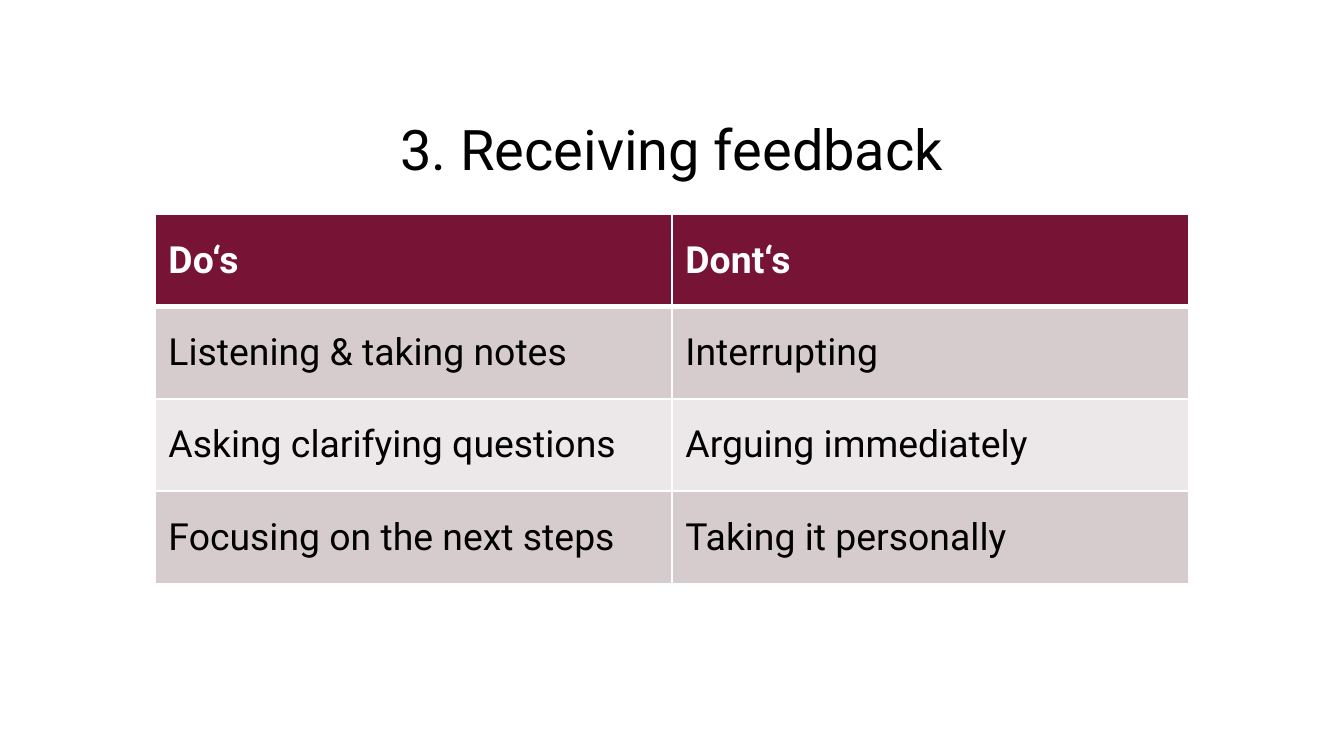
"""Builds a slide with the do's and don'ts of receiving feedback."""
import lxml.etree
import pptx
import pptx.dml.color
import pptx.enum.text
import pptx.oxml.ns
import pptx.util

COLORS = {
    "text": "000000",
    "white": "FFFFFF",
    "header": "771335",
    "odd_row": "D6CCCE",
    "even_row": "ECE7E8",
}
FONT = "Roboto"
ROWS = [
    ("Do‘s", "Dont‘s"),
    ("Listening & taking notes", "Interrupting"),
    ("Asking clarifying questions", "Arguing immediately"),
    ("Focusing on the next steps", "Taking it personally"),
]


class SlideBuilder:
    def __init__(self, deck):
        self.slide = deck.slides.add_slide(deck.slide_layouts[5])

    def color(self, name):
        return pptx.dml.color.RGBColor.from_string(COLORS[name])

    def style(self, paragraph, size, color, bold=False):
        font = paragraph.font
        font.name = FONT
        font.size = pptx.util.Pt(size)
        font.bold = bold
        font.color.rgb = self.color(color)

    def title(self, text, left, top, width, height):
        box = self.slide.shapes.title
        box.left, box.top, box.width, box.height = map(
            pptx.util.Cm, (left, top, width, height))
        frame = box.text_frame
        frame.text = text
        frame.word_wrap = True
        frame.auto_size = pptx.enum.text.MSO_AUTO_SIZE.NONE
        frame.vertical_anchor = pptx.enum.text.MSO_ANCHOR.BOTTOM
        paragraph = frame.paragraphs[0]
        paragraph.alignment = pptx.enum.text.PP_ALIGN.CENTER
        paragraph.line_spacing = 0.9
        self.style(paragraph, 30, "text")

    def border(self, cell, side, points):
        qn = pptx.oxml.ns.qn
        properties = cell._tc.get_or_add_tcPr()
        line = lxml.etree.SubElement(
            properties, qn(f"a:ln{side}"), w=str(pptx.util.Pt(points)))
        fill = lxml.etree.SubElement(line, qn("a:solidFill"))
        lxml.etree.SubElement(fill, qn("a:srgbClr"), val=COLORS["white"])

    def cell(self, cell, text, row):
        cell.text = text
        cell.vertical_anchor = pptx.enum.text.MSO_ANCHOR.MIDDLE
        widths = {"L": 1, "R": 1, "T": 3 if row == 1 else 1, "B": 3 if row == 0 else 1}
        for side, points in widths.items():
            self.border(cell, side, points)
        fill = "header" if row == 0 else "odd_row" if row % 2 else "even_row"
        cell.fill.solid()
        cell.fill.fore_color.rgb = self.color(fill)
        self.style(cell.text_frame.paragraphs[0], 20,
                   "text" if row else "white", bold=row == 0)

    def table(self, rows, left, top, width, height):
        table = self.slide.shapes.add_table(
            len(rows), len(rows[0]),
            *map(pptx.util.Cm, (left, top, width, height))).table
        for row, texts in enumerate(rows):
            for column, text in enumerate(texts):
                self.cell(table.cell(row, column), text, row)


def main():
    deck = pptx.Presentation()
    deck.slide_width = pptx.util.Cm(25.4)
    deck.slide_height = pptx.util.Cm(14.29)
    page = SlideBuilder(deck)
    page.title("3. Receiving feedback", 2.7, 1.83, 20, 1.75)
    page.table(ROWS, 2.93, 4.05, 19.54, 6.98)
    deck.save("out.pptx")


if __name__ == "__main__":
    main()
